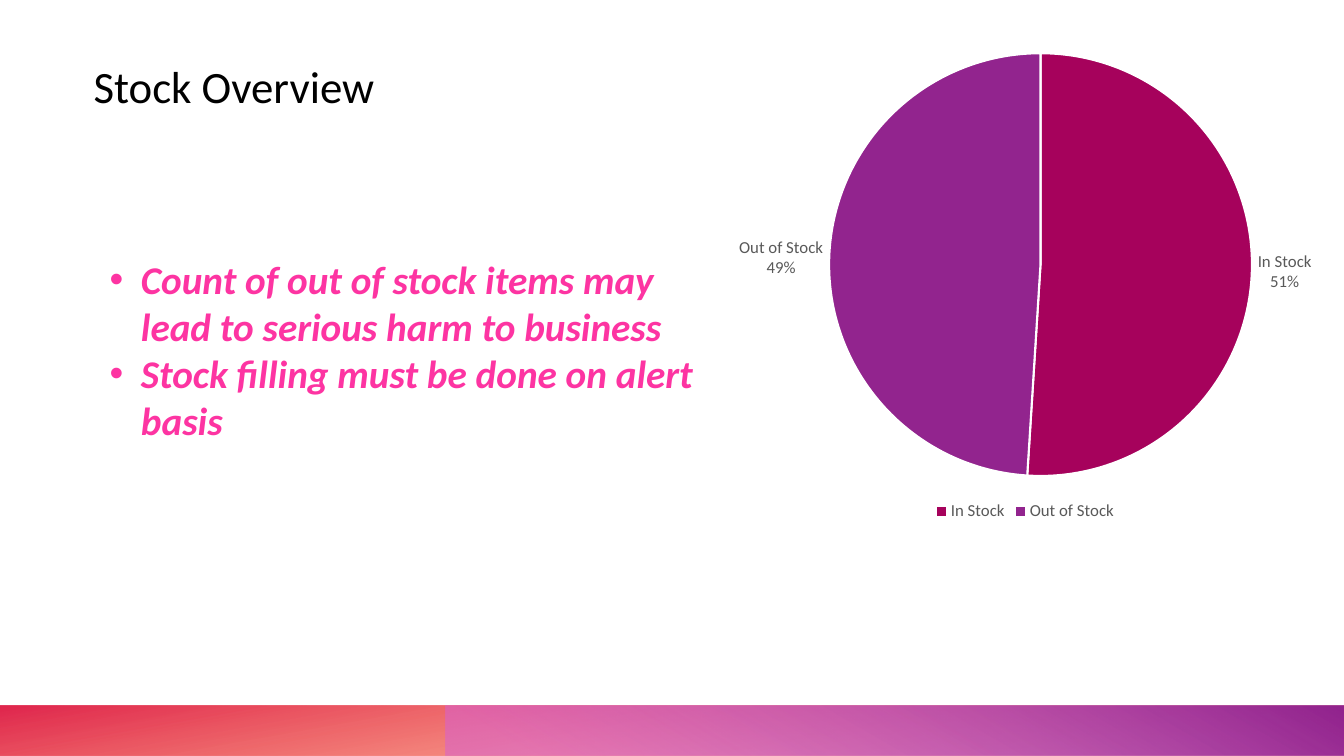
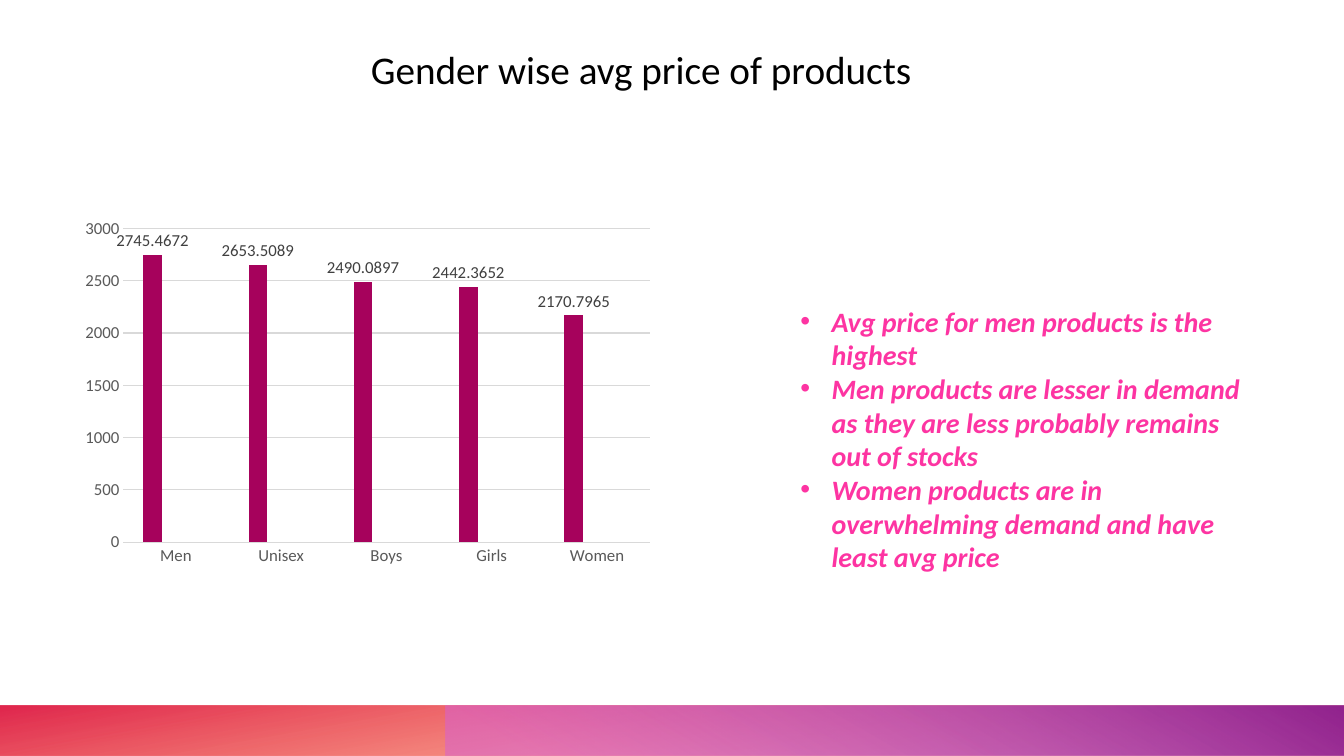
from dataclasses import dataclass

from lxml import etree
from pptx import Presentation
from pptx.chart.data import CategoryChartData
from pptx.dml.color import RGBColor
from pptx.enum.chart import XL_CHART_TYPE as ChartType
from pptx.enum.chart import XL_LABEL_POSITION as LabelPos
from pptx.enum.chart import XL_LEGEND_POSITION as LegendPos
from pptx.enum.chart import XL_TICK_MARK as TickMark
from pptx.enum.shapes import MSO_SHAPE as Shape
from pptx.enum.text import MSO_AUTO_SIZE as AutoSize
from pptx.oxml.ns import qn
from pptx.util import Inches, Pt


@dataclass(frozen=True)
class Theme:
    """Colours, fonts and type sizes shared by the slides."""
    font: str = "Calibri"
    title: str = "000000"
    accent: str = "FD34A2"
    axis: str = "595959"
    value: str = "404040"
    grid: str = "D9D9D9"
    white: str = "FFFFFF"
    series: tuple = ("A6025C", "92248E", "DE95C4")
    warm: tuple = ((14, "FE4A00", 28), (100, "DA002F", 85))
    violet: tuple = ((9, "D861D4", 55), (99, "92248E", 100))
    chart_size: int = 12


T = Theme()
WIDTH, HEIGHT, BAND = 13.33, 7.5, 0.5


def rgb(color):
    """Turn a hex string into a colour."""
    return RGBColor.from_string(color)


def style_font(font, size, color, bold=False, italic=False):
    """Set the theme font with a size and a colour."""
    font.name, font.size = T.font, Pt(size)
    font.bold, font.italic = bold, italic
    font.color.rgb = rgb(color)


def add_band(s, left, width, stops, angle, rotation=0):
    """Add a mirrored gradient band along the bottom edge."""
    sp = s.shapes.add_shape(Shape.RECTANGLE, Inches(left), Inches(HEIGHT - BAND),
                            Inches(width), Inches(BAND))
    sp.shadow.inherit = False
    sp.line.fill.background()
    sp.rotation = rotation
    xfrm = sp.element.spPr.find(qn("a:xfrm"))
    xfrm.set("flipH", "1")
    grad = etree.Element(qn("a:gradFill"), rotWithShape="1")
    stop_list = etree.SubElement(grad, qn("a:gsLst"))
    for pos, color, opacity in stops:
        gs = etree.SubElement(stop_list, qn("a:gs"), pos=str(pos * 1000))
        clr = etree.SubElement(gs, qn("a:srgbClr"), val=color)
        etree.SubElement(clr, qn("a:alpha"), val=str(opacity * 1000))
    etree.SubElement(grad, qn("a:lin"), ang=str(angle * 60000), scaled="0")
    sp.element.spPr.find(qn("a:prstGeom")).addnext(grad)


def add_slide(prs):
    """Add a blank slide with the footer bands."""
    s = prs.slides.add_slide(prs.slide_layouts[6])
    s.background.fill.solid()
    s.background.fill.fore_color.rgb = rgb(T.white)
    add_band(s, 0, WIDTH, T.warm, 100, rotation=180)
    add_band(s, 4.42, WIDTH - 4.42, T.violet, 240)
    return s


def add_text(s, box, lines, size, color, bullets=False):
    """Add paragraphs in a box; bulleted text is bold italic."""
    tf = s.shapes.add_textbox(*map(Inches, box)).text_frame
    tf.word_wrap = True
    tf.auto_size = AutoSize.SHAPE_TO_FIT_TEXT
    for i, line in enumerate(lines):
        p = tf.paragraphs[0] if i == 0 else tf.add_paragraph()
        p.text = line
        style_font(p.font, size, color, bullets, bullets)
        if bullets:
            pPr = p._p.get_or_add_pPr()
            indent = Inches(0.31)
            pPr.set("marL", str(indent))
            pPr.set("indent", str(-indent))
            bullet_font = etree.Element(qn("a:buFont"), typeface="Arial")
            bullet = etree.Element(qn("a:buChar"), char="•")
            pPr.insert(0, bullet_font)
            bullet_font.addnext(bullet)


def add_chart(s, box, kind, cats, series):
    """Add a chart in the theme font and return it."""
    data = CategoryChartData()
    data.categories = cats
    for name, values in series:
        data.add_series(name, values)
    chart = s.shapes.add_chart(kind, *map(Inches, box), data).chart
    chart.has_title = chart.has_legend = False
    style_font(chart.font, T.chart_size, T.axis)
    return chart


def add_pie(s, box, cats, values):
    """Add a pie with outside labels and a legend below."""
    chart = add_chart(s, box, ChartType.PIE, cats, [("Series 1", values)])
    chart.has_legend = True
    chart.legend.position = LegendPos.BOTTOM
    chart.legend.include_in_layout = False
    style_font(chart.legend.font, T.chart_size, T.axis)
    pie = chart.plots[0].series[0]
    for i, color in enumerate(T.series[:len(cats)]):
        fmt = pie.points[i].format
        fmt.fill.solid()
        fmt.fill.fore_color.rgb = rgb(color)
        fmt.line.color.rgb = rgb(T.white)
        fmt.line.width = Pt(1.5)
    labels = pie.data_labels
    labels.show_value = False
    labels.show_percentage = labels.show_category_name = True
    labels.position = LabelPos.OUTSIDE_END
    style_font(labels.font, T.chart_size, T.axis)


def set_plot_area(chart, x, y, w, h):
    """Place the inner plot area by fractions of the chart."""
    area = chart._chartSpace.chart.plotArea
    for old in area.findall(qn("c:layout")):
        area.remove(old)
    layout = etree.Element(qn("c:layout"))
    manual = etree.SubElement(layout, qn("c:manualLayout"))
    for tag, val in (("layoutTarget", "inner"), ("xMode", "edge"), ("yMode", "edge"),
                     ("x", x), ("y", y), ("w", w), ("h", h)):
        etree.SubElement(manual, qn(f"c:{tag}"), val=str(val))
    area.insert(0, layout)


def add_columns(s, box, cats, values):
    """Add clustered columns; the two later series are empty."""
    empty = [None] * len(cats)
    series = [("Series 1", values), ("Series 2", empty), ("Series 3", empty)]
    chart = add_chart(s, box, ChartType.COLUMN_CLUSTERED, cats, series)
    set_plot_area(chart, 0.21, 0.12, 0.77, 0.8)
    plot = chart.plots[0]
    plot.gap_width, plot.overlap = 219, -27
    plot.vary_by_categories = False
    for ser, color in zip(plot.series, T.series):
        ser.format.fill.solid()
        ser.format.fill.fore_color.rgb = rgb(color)
        labels = ser.data_labels
        labels.show_value = True
        labels.position = LabelPos.OUTSIDE_END
        style_font(labels.font, T.chart_size, T.value)
    for axis in (chart.category_axis, chart.value_axis):
        axis.major_tick_mark = axis.minor_tick_mark = TickMark.NONE
        style_font(axis.tick_labels.font, T.chart_size, T.axis)
    chart.value_axis.format.line.fill.background()
    chart.value_axis.has_major_gridlines = True
    for line in (chart.category_axis.format.line,
                 chart.value_axis.major_gridlines.format.line):
        line.color.rgb = rgb(T.grid)
        line.width = Pt(0.75)


def stock_slide(prs):
    """Build the stock overview."""
    s = add_slide(prs)
    add_pie(s, (6.55, 0.39, 7.24, 4.82), ["In Stock", "Out of Stock"], [51, 49])
    add_text(s, (0.83, 0.53, 7.63, 0.64), ["Stock Overview"], 32, T.title)
    add_text(s, (0.99, 2.48, 6.2, 2.29), [
        "Count of out of stock items may lead to serious harm to business",
        "Stock filling must be done on alert basis",
    ], 28, T.accent, bullets=True)


def price_slide(prs):
    """Build the average price by gender."""
    s = add_slide(prs)
    add_text(s, (3.58, 0.4, 8.51, 0.57), ["Gender wise avg price of products"], 28, T.title)
    add_columns(s, (-0.2, 1.8, 6.78, 3.89), ["Men", "Unisex", "Boys", "Girls", "Women"],
                [2745.4672, 2653.5089, 2490.0897, 2442.3652, 2170.7965])
    add_text(s, (7.84, 2.97, 4.8, 2.46), [
        "Avg price for men products is the highest",
        "Men products are lesser in demand as they are less probably remains out of stocks",
        "Women products are in overwhelming demand and have least avg price",
    ], 20, T.accent, bullets=True)


prs = Presentation()
prs.slide_width, prs.slide_height = Inches(WIDTH), Inches(HEIGHT)
stock_slide(prs)
price_slide(prs)
prs.save("out.pptx")
